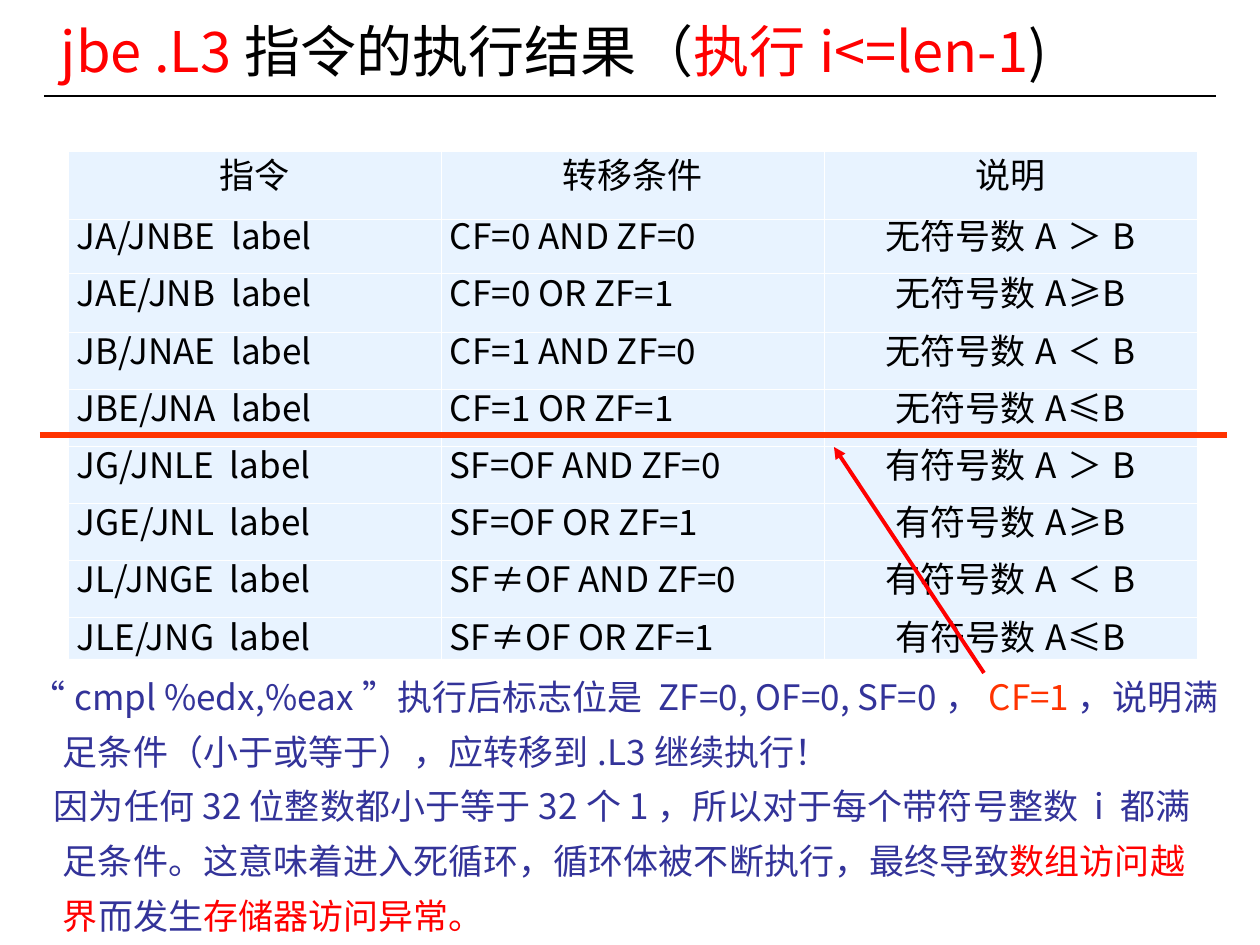
from dataclasses import dataclass
from typing import NamedTuple

from lxml import etree
from pptx import Presentation
from pptx.dml.color import RGBColor
from pptx.enum.shapes import MSO_CONNECTOR, MSO_SHAPE
from pptx.enum.text import MSO_ANCHOR, MSO_AUTO_SIZE, PP_ALIGN
from pptx.oxml.ns import qn
from pptx.util import Emu, Pt

LEFT, MID, FULL = PP_ALIGN.LEFT, PP_ALIGN.CENTER, PP_ALIGN.JUSTIFY
TOP, CORE = MSO_ANCHOR.TOP, MSO_ANCHOR.MIDDLE
FIXED, GROW = MSO_AUTO_SIZE.NONE, MSO_AUTO_SIZE.SHAPE_TO_FIT_TEXT
RECT, STRAIGHT = MSO_SHAPE.RECTANGLE, MSO_CONNECTOR.STRAIGHT
SCALE = 914400 / 126


@dataclass(frozen=True)
class Theme:
    font: str = "Noto Sans CJK SC"
    black: str = "000000"
    white: str = "FFFFFF"
    red: str = "FF0000"
    flame: str = "FF3300"
    navy: str = "333399"
    pale: str = "E8F3FF"
    head: int = 32
    body: int = 20


T = Theme()


class Run(NamedTuple):
    text: str
    color: str


class Rule(NamedTuple):
    start: tuple[int, int]
    end: tuple[int, int]
    color: str
    width: float
    arrow: bool = False


class Note(NamedTuple):
    indent: int
    runs: list[Run]


TITLE = [
    Run("jbe .L3", T.red),
    Run("指令的执行结果（", T.black),
    Run("执行i<=len-1", T.red),
    Run(")", T.black),
]
HEADS = ("指令", "转移条件", "说明")
JUMPS = [
    ("JA/JNBE", "CF=0 AND ZF=0"),
    ("JAE/JNB", "CF=0 OR ZF=1"),
    ("JB/JNAE", "CF=1 AND ZF=0"),
    ("JBE/JNA", "CF=1 OR ZF=1"),
    ("JG/JNLE", "SF=OF AND ZF=0"),
    ("JGE/JNL", "SF=OF OR ZF=1"),
    ("JL/JNGE", "SF≠OF AND ZF=0"),
    ("JLE/JNG", "SF≠OF OR ZF=1"),
]
SIGNS = "＞≥＜≤"
COLS = (373, 383, 373)
ROWS = (68, 54, 59, 57, 57, 57, 57, 57, 59)
NOTES = [
    Note(-32, [
        Run("“cmpl %edx,%eax”执行后标志位是 ZF=0, OF=0, SF=0，", T.navy),
        Run("CF=1", T.flame),
        Run("，说明满足条件（小于或等于），应转移到.L3继续执行！", T.navy),
    ]),
    Note(-9, [
        Run("因为任何32位整数都小于等于32个1，所以对于每个带符号整数 i 都满足条件。"
            "这意味着进入死循环，循环体被不断执行，最终导致", T.navy),
        Run("数组访问越界", T.red),
        Run("而发生", T.navy),
        Run("存储器访问异常。", T.red),
    ]),
]
BASE = Rule((44, 96), (1216, 96), T.black, 0.75)
SPLIT = Rule((40, 435), (1227, 435), T.flame, 3)
ARROW = Rule((984, 673), (834, 447), T.red, 2.25, True)


def px(n: int) -> Emu:
    return Emu(round(n * SCALE))


def rgb(code: str) -> RGBColor:
    return RGBColor.from_string(code)


def write(para, runs: list[Run], size: int) -> None:
    for item in runs:
        run = para.add_run()
        run.text = item.text
        run.font.size = Pt(size)
        run.font.name = T.font
        run.font.color.rgb = rgb(item.color)
        east = etree.SubElement(run.font._element, qn("a:ea"))
        east.set("typeface", T.font)


def draw_rule(slide, rule: Rule) -> None:
    ends = [px(n) for n in rule.start + rule.end]
    line = slide.shapes.add_connector(STRAIGHT, *ends)
    line.line.color.rgb = rgb(rule.color)
    line.line.width = Pt(rule.width)
    if rule.arrow:
        tail = etree.SubElement(line.line._get_or_add_ln(), qn("a:tailEnd"))
        tail.set("type", "triangle")
    etree.SubElement(line._element.spPr, qn("a:effectLst"))


def draw_title(slide) -> None:
    title = slide.shapes.title
    title.left, title.top, title.width, title.height = map(px, (48, 14, 1016, 73))
    frame = title.text_frame
    frame.auto_size, frame.vertical_anchor = FIXED, CORE
    frame.paragraphs[0].alignment = LEFT
    write(frame.paragraphs[0], TITLE, T.head)


def edge(cell) -> None:
    """Give a cell thin white borders, placed ahead of its fill."""
    props = cell._tc.get_or_add_tcPr()
    for spot, side in enumerate(("lnL", "lnR", "lnT", "lnB")):
        line = etree.Element(qn(f"a:{side}"), w=str(Pt(0.45)))
        fill = etree.SubElement(line, qn("a:solidFill"))
        etree.SubElement(fill, qn("a:srgbClr"), val=T.white)
        props.insert(spot, line)


def fill_cell(cell, text: str, align: PP_ALIGN) -> None:
    cell.fill.solid()
    cell.fill.fore_color.rgb = rgb(T.pale)
    edge(cell)
    cell.margin_left = cell.margin_right = px(9)
    cell.margin_top = cell.margin_bottom = px(6)
    cell.vertical_anchor = CORE
    para = cell.text_frame.paragraphs[0]
    para.alignment = align
    para.line_spacing = Pt(16)
    write(para, [Run(text, T.black)], T.body)


def draw_table(slide) -> None:
    area = map(px, (68, 151, sum(COLS), sum(ROWS)))
    table = slide.shapes.add_table(len(ROWS), len(COLS), *area).table
    table.first_row = table.horz_banding = False
    for col, width in zip(table.columns, COLS):
        col.width = px(width)
    for row, height in zip(table.rows, ROWS):
        row.height = px(height)
    lines = [HEADS]
    for i, (jump, test) in enumerate(JUMPS):
        kind = "无" if i < len(SIGNS) else "有"
        sign = SIGNS[i % len(SIGNS)]
        lines.append((f"{jump}  label", test, f"{kind}符号数A{sign}B"))
    for r, line in enumerate(lines):
        for c, text in enumerate(line):
            fill_cell(table.cell(r, c), text, MID if r == 0 or c == 2 else FULL)


def draw_notes(slide) -> None:
    box = slide.shapes.add_shape(RECT, *map(px, (6, 659, 1222, 280)))
    box.shadow.inherit = False
    box.fill.solid()
    box.fill.fore_color.rgb = rgb(T.white)
    box.line.fill.background()
    frame = box.text_frame
    frame.word_wrap, frame.auto_size, frame.vertical_anchor = True, GROW, TOP
    frame.margin_left = frame.margin_right = px(9)
    frame.margin_top = frame.margin_bottom = px(4)
    for i, note in enumerate(NOTES):
        para = frame.add_paragraph() if i else frame.paragraphs[0]
        para.alignment, para.line_spacing = LEFT, 1.3
        props = para._p.get_or_add_pPr()
        props.set("marL", str(px(48)))
        props.set("indent", str(px(note.indent)))
        write(para, note.runs, T.body)


def main() -> None:
    deck = Presentation()
    deck.slide_width, deck.slide_height = px(1260), px(945)
    slide = deck.slides.add_slide(deck.slide_layouts[5])
    draw_rule(slide, BASE)
    draw_title(slide)
    draw_table(slide)
    draw_rule(slide, SPLIT)
    draw_notes(slide)
    draw_rule(slide, ARROW)
    deck.save("out.pptx")


if __name__ == "__main__":
    main()
